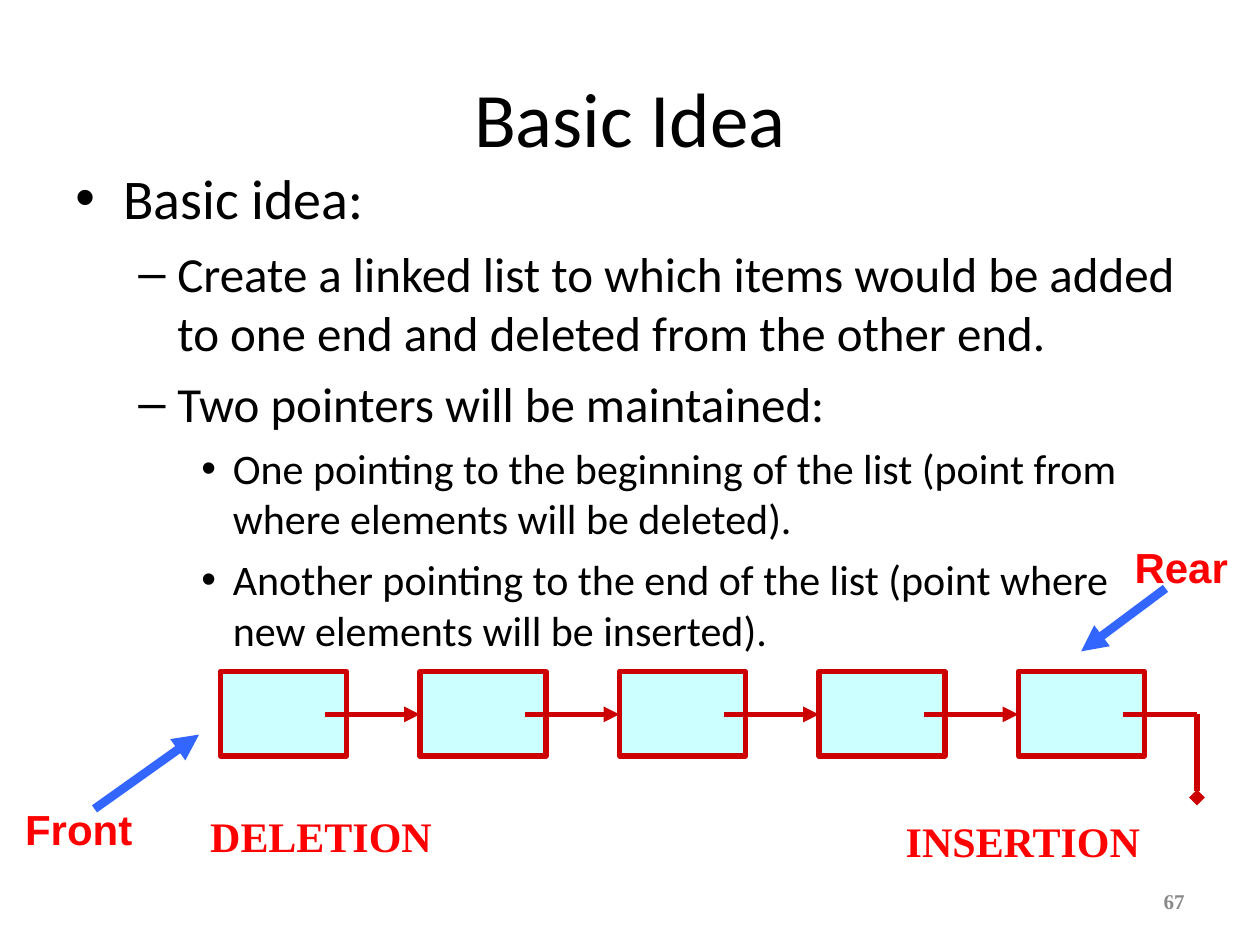
from dataclasses import dataclass
from typing import Any

from lxml import etree
from pptx import Presentation
from pptx import util as u
from pptx.dml.color import RGBColor
from pptx.enum import shapes, text
from pptx.oxml import ns

ALIGN = {"l": text.PP_ALIGN.LEFT, "c": text.PP_ALIGN.CENTER, "r": text.PP_ALIGN.RIGHT}
LEVELS = [
    dict(size=32, before=8, bullet="•", margin=0.38, hang=0.38),
    dict(size=28, before=7, bullet="–", margin=0.81, hang=0.31),
    dict(size=24, before=6, bullet="•", margin=1.25, hang=0.25),
]
BODY = [
    (0, "Basic idea:"),
    (1, "Create a linked list to which items would be added to one end and deleted from the other end."),
    (1, "Two pointers will be maintained:"),
    (2, "One pointing to the beginning of the list (point from where elements will be deleted)."),
    (2, "Another pointing to the end of the list (point where new elements will be inserted)."),
]


def colour(value):
    return RGBColor.from_string(value)


def write(para, words, size=24, font="Calibri", ink="000000", bold=False, align="l",
          before=0, bullet=None, margin=0, hang=0):
    para.alignment = ALIGN[align]
    para.space_before = u.Pt(before)
    if bullet:
        props = para._p.get_or_add_pPr()
        props.set("marL", str(u.Inches(margin)))
        props.set("indent", str(-u.Inches(hang)))
        etree.SubElement(props, ns.qn("a:buFont"), typeface="Arial")
        etree.SubElement(props, ns.qn("a:buChar"), char=bullet)
    span = para.add_run()
    span.text = words
    span.font.size = u.Pt(size)
    span.font.name = font
    span.font.bold = bold
    span.font.color.rgb = colour(ink)


@dataclass
class Sketch:
    """Holds the colours of the queue drawing and the slide it goes on."""
    page: Any
    node_fill: str = "CCFFFF"
    node_line: str = "CC0000"
    pointer: str = "3366FF"
    label_ink: str = "FF0000"

    def text_box(self, left, top, width, height, middle=False, wrap=True):
        box = self.page.shapes.add_textbox(*map(u.Inches, (left, top, width, height)))
        frame = box.text_frame
        frame.word_wrap = wrap
        frame.vertical_anchor = text.MSO_ANCHOR.MIDDLE if middle else text.MSO_ANCHOR.TOP
        return frame

    def line_of_text(self, place, words, middle=False, wrap=True, **style):
        frame = self.text_box(*place, middle=middle, wrap=wrap)
        write(frame.paragraphs[0], words, **style)

    def outline(self, place, items):
        frame = self.text_box(*place)
        for index, (level, words) in enumerate(items):
            para = frame.add_paragraph() if index else frame.paragraphs[0]
            para.level = level
            style = LEVELS[level] if index else {**LEVELS[level], "before": 0}
            write(para, words, **style)

    def label(self, place, words, **style):
        self.line_of_text(place, words, ink=self.label_ink, bold=True, **style)

    def node(self, left, top, width, height):
        box = self.page.shapes.add_shape(
            shapes.MSO_SHAPE.RECTANGLE, *map(u.Inches, (left, top, width, height)))
        box.shadow.inherit = False
        box.fill.solid()
        box.fill.fore_color.rgb = colour(self.node_fill)
        box.line.color.rgb = colour(self.node_line)
        box.line.width = u.Pt(3)

    def line(self, start, end, ink, width=3, tip=None):
        link = self.page.shapes.add_connector(
            shapes.MSO_CONNECTOR.STRAIGHT, *map(u.Inches, (*start, *end)))
        link.line.color.rgb = colour(ink)
        link.line.width = u.Pt(width)
        if tip:
            etree.SubElement(link.line._get_or_add_ln(), ns.qn("a:tailEnd"), type=tip)
        etree.SubElement(link._element.spPr, ns.qn("a:effectLst"))


def draw_list(sketch, count=5, left=1.75, pitch=19 / 12, middle=5.67):
    lefts = [left + pitch * index for index in range(count)]
    for x in lefts:
        sketch.node(x, 5.33, 1, 0.67)
    ink = sketch.node_line
    for x, following in zip(lefts, lefts[1:]):
        sketch.line((x + 0.83, middle), (following, middle), ink, tip="triangle")
    corner = (9.5, middle)
    sketch.line((lefts[-1] + 0.83, middle), corner, ink)
    sketch.line(corner, (9.5, 6.33), ink, tip="diamond")


def main():
    deck = Presentation()
    deck.slide_width, deck.slide_height = u.Inches(10), u.Inches(7.5)
    sketch = Sketch(deck.slides.add_slide(deck.slide_layouts[6]))
    sketch.line_of_text((0.5, 0.3, 9, 1.25), "Basic Idea", middle=True, size=44, align="c")
    sketch.outline((0.5, 1.25, 9, 4.95), BODY)
    sketch.line_of_text((7.17, 6.95, 2.33, 0.4), "67", middle=True, size=12,
                        font="Times New Roman", ink="898989", bold=True, align="r")
    draw_list(sketch)
    for words, place, start, end in [
        ("Front", (0, 6.33, 1.25, 0.5), (0.75, 6.42), (1.58, 5.83)),
        ("Rear", (8.75, 4.25, 1.25, 0.5), (9.25, 4.67), (8.58, 5.17)),
    ]:
        sketch.label(place, words, font="Arial", align="c")
        sketch.line(start, end, sketch.pointer, width=5, tip="triangle")
    for words, place in [("DELETION", (1.57, 6.38, 1.96, 0.5)),
                         ("INSERTION", (7.09, 6.42, 2.07, 0.5))]:
        sketch.label(place, words, font="Times New Roman", wrap=False)
    deck.save("out.pptx")


if __name__ == "__main__":
    main()
